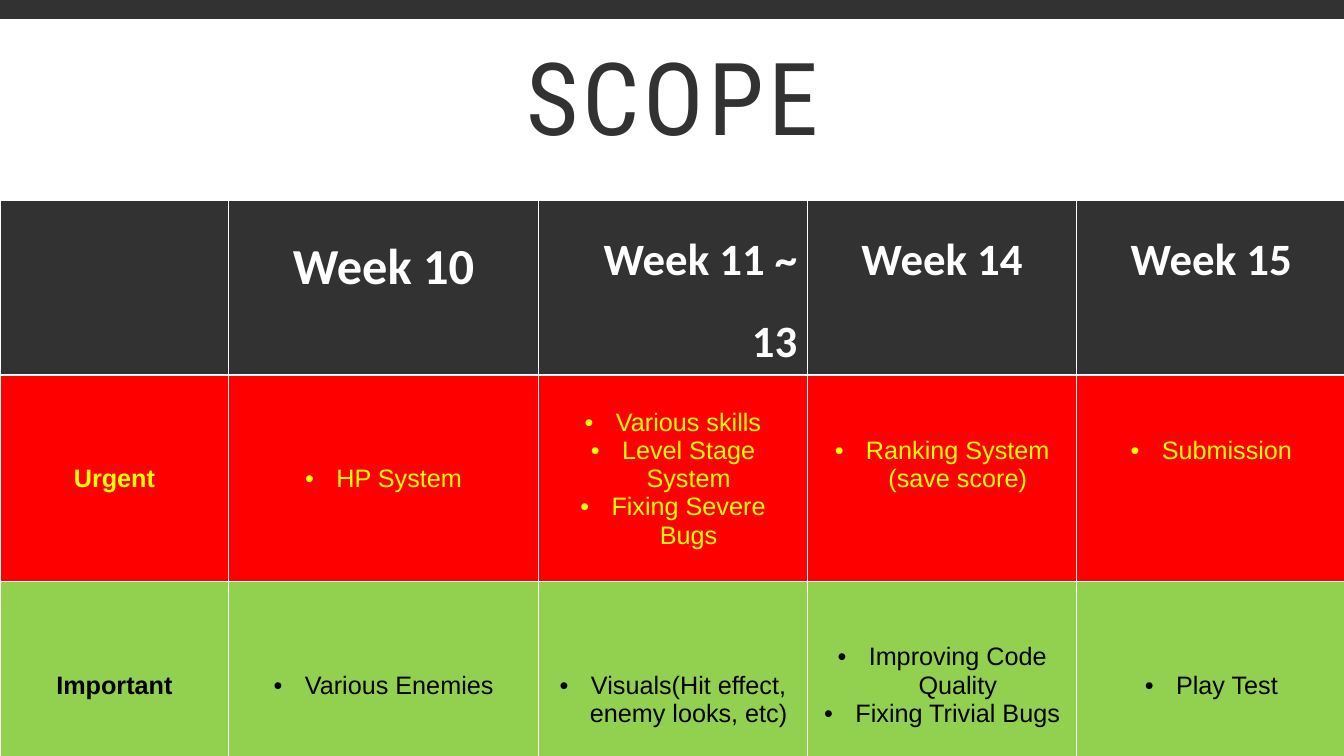
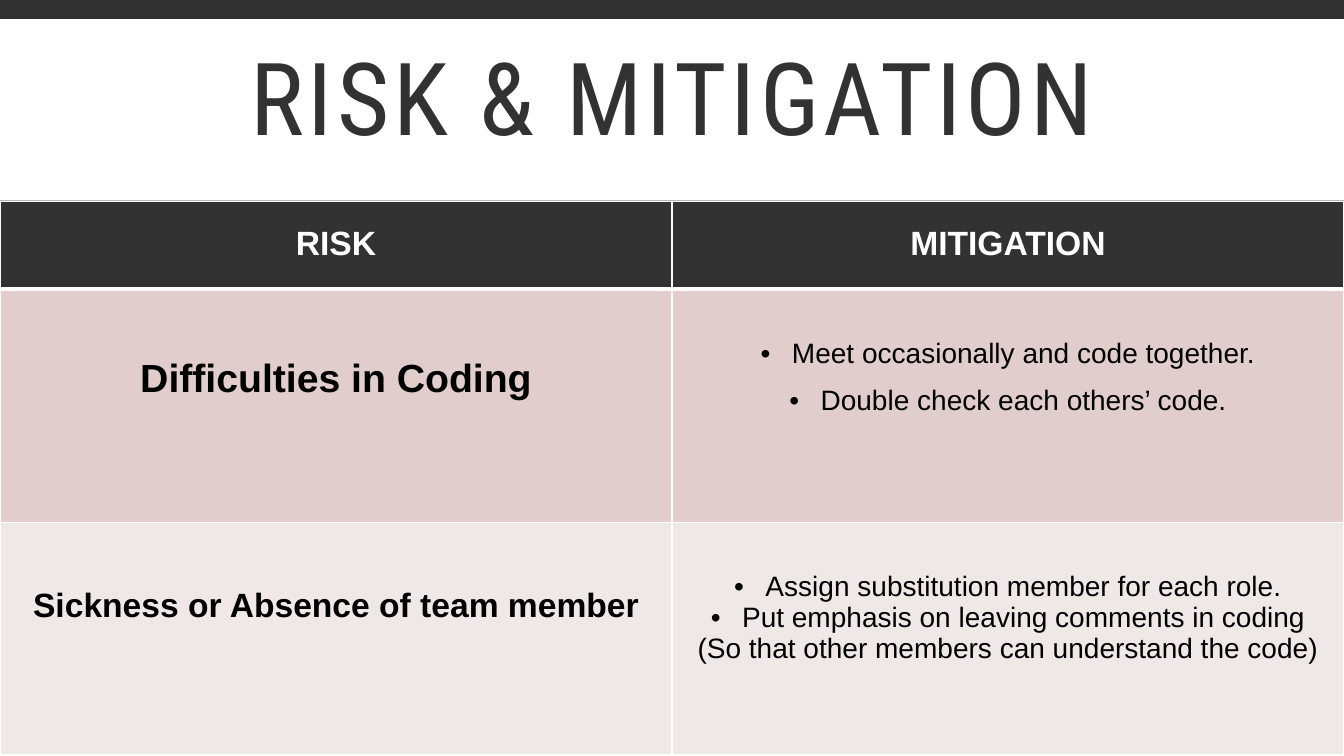
"""Build the scope and risk slides of a game project."""
from dataclasses import dataclass

from lxml import etree
from pptx import Presentation
from pptx.dml.color import RGBColor
from pptx.enum import shapes, text
from pptx.oxml import ns
from pptx.util import Inches, Pt

DARK = RGBColor(0x32, 0x32, 0x32)
WHITE = RGBColor(0xFF, 0xFF, 0xFF)
BLACK = RGBColor(0, 0, 0)
RED = RGBColor(0xFF, 0, 0)
YELLOW = RGBColor(0xFF, 0xFF, 0)
GREEN = RGBColor(0x92, 0xD0, 0x50)
ROSE = RGBColor(0xE1, 0xCD, 0xCC)
PALE = RGBColor(0xF0, 0xE8, 0xE7)
WIDE = 13.33
MID, END = text.PP_ALIGN.CENTER, text.PP_ALIGN.RIGHT


@dataclass
class Para:
    """One paragraph of a cell."""
    text: str
    size: int = 18
    bold: bool = False
    dot: bool = False
    gap: float = 1
    align: text.PP_ALIGN = MID
    face: str = "Arial"


@dataclass
class Cell:
    """Paragraphs of a cell and the space above them."""
    paras: list[Para]
    top: float = 0.05


@dataclass
class Row:
    """A table row with its colours and lower border."""
    high: float
    fill: RGBColor
    ink: RGBColor
    cells: list[Cell]
    rule: int = 1


def week(name: str, size: int = 32, align: text.PP_ALIGN = MID) -> Cell:
    """Return a week heading."""
    return Cell([Para(name, size, True, gap=1.5, align=align, face="Calibri")])


def tasks(skip: int, *names: str) -> Cell:
    """Return bulleted tasks set some lines down."""
    return Cell([Para(name, dot=True) for name in names], 0.05 + 0.28 * skip)


def rank(name: str) -> Cell:
    """Return the label of a priority row."""
    return Cell([Para(name, bold=True)], 0.89)


def label(name: str, size: int = 24, top: float = 0.05) -> Cell:
    """Return a bold label with open line spacing."""
    return Cell([Para(name, size, True, gap=1.5)], top)


def plan(*paras: Para) -> Cell:
    """Return the steps against a risk."""
    return Cell(list(paras), 0.33)


def step(name: str, gap: float = 1.5, dot: bool = True) -> Para:
    """Return one step against a risk."""
    return Para(name, 20, dot=dot, gap=gap)


def write(spot, para: Para, ink: RGBColor) -> None:
    """Write and format one paragraph."""
    spot.text = para.text
    spot.alignment, spot.line_spacing = para.align, para.gap
    if para.dot:
        props = spot._p.get_or_add_pPr()
        props.set("marL", str(Inches(0.31)))
        props.set("indent", str(-Inches(0.31)))
        etree.SubElement(props, ns.qn("a:buFont"), typeface="Arial")
        etree.SubElement(props, ns.qn("a:buChar"), char="•")
    font = spot.font
    font.name, font.size, font.bold = para.face, Pt(para.size), para.bold
    font.color.rgb = ink


def edge(box, base: int) -> None:
    """Give a cell white borders."""
    props = box._tc.get_or_add_tcPr()
    for i, side in enumerate("LRTB"):
        line = etree.Element(ns.qn(f"a:ln{side}"),
                             w=str(Pt(base if side == "B" else 1)))
        fill = etree.SubElement(line, ns.qn("a:solidFill"))
        etree.SubElement(fill, ns.qn("a:srgbClr"), val=str(WHITE))
        props.insert(i, line)


def grid(slide, top: float, cols: list[float], rows: list[Row]) -> None:
    """Draw a full-width table."""
    frame = slide.shapes.add_table(
        len(rows), len(cols), 0, Inches(top), Inches(WIDE),
        Inches(sum(row.high for row in rows)))
    table = frame.table
    table.first_row = table.horz_banding = False
    for col, wide in zip(table.columns, cols):
        col.width = Inches(wide)
    for line, row in zip(table.rows, rows):
        line.height = Inches(row.high)
        for box, cell in zip(line.cells, row.cells):
            box.fill.solid()
            box.fill.fore_color.rgb = row.fill
            box.margin_top = Inches(cell.top)
            edge(box, row.rule)
            for i, para in enumerate(cell.paras):
                frame = box.text_frame
                spot = frame.add_paragraph() if i else frame.paragraphs[0]
                write(spot, para, row.ink)


def theme(deck, layout) -> None:
    """Set the shared background and title place."""
    fill = deck.slide_master.background.fill
    fill.solid()
    fill.fore_color.rgb = DARK
    title = layout.placeholders[0]
    title.left, title.top = Inches(1.32), Inches(0.21)
    title.width, title.height = Inches(10.7), Inches(1.65)


def page(deck, layout, name: str):
    """Add a slide with its band and title."""
    slide = deck.slides.add_slide(layout)
    band = slide.shapes.add_shape(shapes.MSO_SHAPE.RECTANGLE, 0, Inches(0.19),
                                  Inches(WIDE), Inches(1.8))
    band.shadow.inherit = False
    band.fill.solid()
    band.fill.fore_color.rgb = WHITE
    band.line.fill.background()
    title = slide.shapes.title
    title.element.addprevious(band.element)
    frame = title.text_frame
    frame.auto_size = text.MSO_AUTO_SIZE.NONE
    frame.vertical_anchor = text.MSO_ANCHOR.MIDDLE
    spot = frame.paragraphs[0]
    write(spot, Para(name, 72, gap=0.85, face="Roboto Condensed"), DARK)
    spot.runs[0]._r.get_or_add_rPr().set("spc", "300")
    return slide


SCOPE = [
    Row(1.28, DARK, WHITE, [
        Cell([]), week("Week 10", 36), week("Week 11 ~ 13", align=END),
        week("Week 14"), week("Week 15")]),
    Row(2.05, RED, YELLOW, [
        rank("Urgent"), tasks(3, "HP System"),
        tasks(1, "Various skills", "Level Stage System", "Fixing Severe Bugs"),
        tasks(2, "Ranking System (save score)"), tasks(2, "Submission")]),
    Row(2.17, GREEN, BLACK, [
        rank("Important"), tasks(3, "Various Enemies"),
        tasks(3, "Visuals(Hit effect, enemy looks, etc)"),
        tasks(2, "Improving Code Quality", "Fixing Trivial Bugs"),
        tasks(3, "Play Test")]),
]
RISKS = [
    Row(0.87, DARK, WHITE, [label("RISK"), label("MITIGATION")], 3),
    Row(2.31, ROSE, BLACK, [
        label("Difficulties in Coding", 28, 0.46),
        plan(step("Meet occasionally and code together."),
             step("Double check each others’ code."))]),
    Row(2.31, PALE, BLACK, [
        label("Sickness or Absence of team member", top=0.46),
        plan(step("Assign substitution member for each role."),
             step("Put emphasis on leaving comments in coding", 1),
             step("(So that other members can understand the code)", 1, False))]),
]


def main() -> None:
    """Build and save the deck."""
    deck = Presentation()
    deck.slide_width, deck.slide_height = Inches(WIDE), Inches(7.5)
    layout = deck.slide_layouts[5]
    theme(deck, layout)
    grid(page(deck, layout, "SCOPE"), 1.99, [2.27, 3.07] + [2.67] * 3, SCOPE)
    grid(page(deck, layout, "RISK & MITIGATION"), 2, [WIDE / 2] * 2, RISKS)
    deck.save("out.pptx")


if __name__ == "__main__":
    main()
